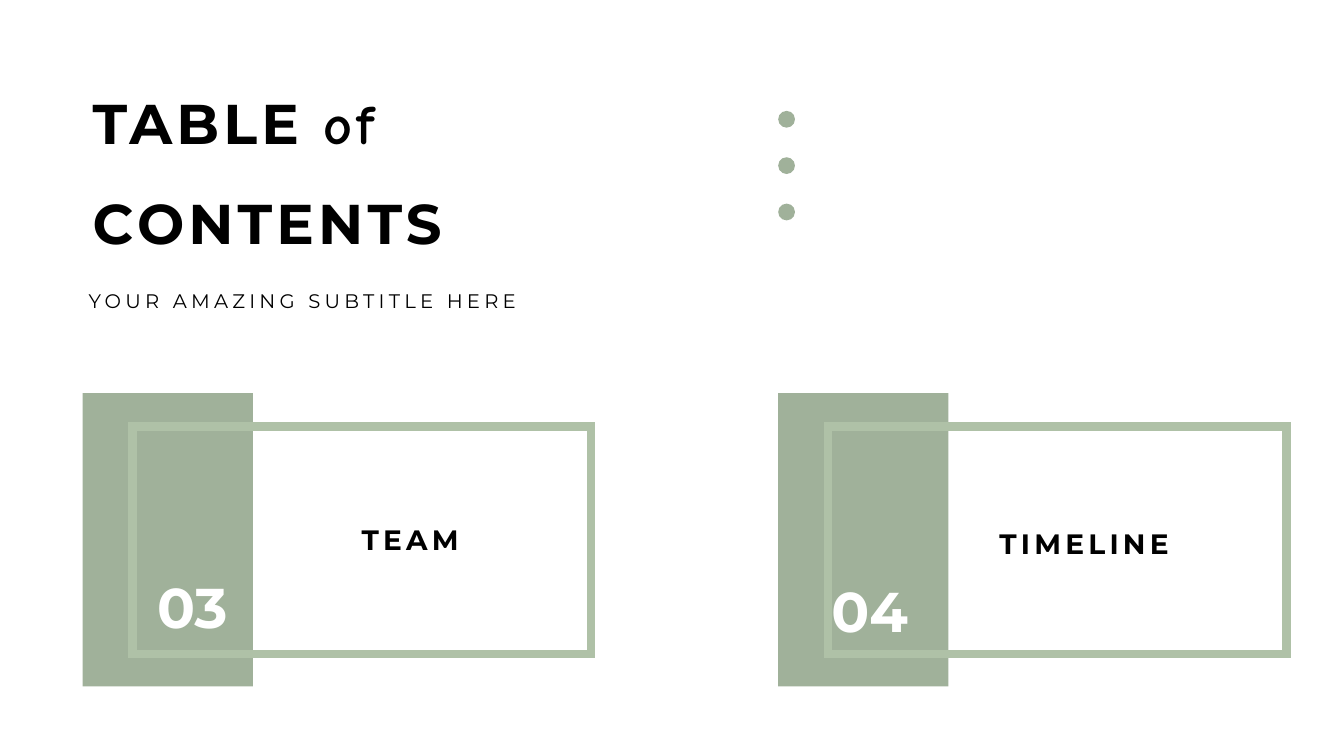
from dataclasses import dataclass

from lxml.etree import SubElement
from pptx import Presentation
from pptx.dml.color import RGBColor
from pptx.enum.shapes import MSO_SHAPE as Shape
from pptx.enum.text import MSO_ANCHOR as Anchor, MSO_AUTO_SIZE as AutoSize, PP_ALIGN as Align
from pptx.oxml.ns import qn
from pptx.util import Inches, Pt


@dataclass(frozen=True)
class Theme:
    sage: RGBColor = RGBColor(0xA0, 0xB1, 0x9A)
    border: RGBColor = RGBColor(0xAF, 0xC1, 0xA7)
    ink: RGBColor = RGBColor(0, 0, 0)
    white: RGBColor = RGBColor(255, 255, 255)
    main_font: str = "Montserrat"
    accent_font: str = "Comic Neue"
    heading: int = 40
    label: int = 20
    subtitle: int = 14
    border_width: int = 6
    tracking: int = 3


class ContentsSlide:
    """Places elements on a grid of 80 columns by 45 rows."""

    columns, rows = 80, 45

    def __init__(self, presentation, theme):
        self.theme = theme
        self.column = presentation.slide_width / self.columns
        self.row = presentation.slide_height / self.rows
        self.slide = presentation.slides.add_slide(presentation.slide_layouts[5])

    def place(self, left, top, width, height):
        return (round(left * self.column), round(top * self.row),
                round(width * self.column), round(height * self.row))

    def fill_text(self, shape, pieces, size, color, bold=True, tracking=0,
                  wrap=True, align=Align.LEFT, line_spacing=1.0):
        frame = shape.text_frame
        frame_format = {"word_wrap": wrap, "auto_size": AutoSize.NONE,
                        "vertical_anchor": Anchor.TOP}
        for name, value in frame_format.items():
            setattr(frame, name, value)
        paragraph = frame.paragraphs[0]
        paragraph.alignment, paragraph.line_spacing = align, line_spacing
        for text, font_name in pieces:
            run = paragraph.add_run()
            run.text = text
            font_format = {"name": font_name, "size": Pt(size), "bold": bold}
            for name, value in font_format.items():
                setattr(run.font, name, value)
            run.font.color.rgb = color
            if tracking:
                run._r.get_or_add_rPr().set("spc", str(tracking * 100))

    def title(self, box, pieces, **style):
        title = self.slide.shapes.title
        for name, value in zip(("left", "top", "width", "height"), self.place(*box)):
            setattr(title, name, value)
        self.fill_text(title, pieces, self.theme.heading, self.theme.ink, **style)

    def text(self, box, text, size, color, **style):
        text_box = self.slide.shapes.add_textbox(*self.place(*box))
        self.fill_text(text_box, [(text, self.theme.main_font)], size, color, **style)

    def solid(self, kind, box):
        shape = self.slide.shapes.add_shape(kind, *self.place(*box))
        shape.shadow.inherit = False
        shape.fill.solid()
        shape.fill.fore_color.rgb = self.theme.sage
        shape.line.fill.background()

    def outline(self, box):
        shape = self.slide.shapes.add_shape(Shape.RECTANGLE, *self.place(*box))
        shape.shadow.inherit = False
        shape.fill.background()
        shape.line.color.rgb = self.theme.border
        shape.line.width = Pt(self.theme.border_width)
        # Square corners
        SubElement(shape.line._get_or_add_ln(), qn("a:miter"), lim="800000")

    def card(self, left, number, number_left, label, label_left, label_width, drop):
        theme = self.theme
        self.solid(Shape.RECTANGLE, (left, 23.4, 10.14, 17.46))
        self.text((left + number_left, 33.78 + drop, 7.2, 4.62), number,
                  theme.heading, theme.white)
        self.outline((left + 2.97, 25.38, 27.3, 13.56))
        self.text((left + label_left, 30.78 + drop, label_width, 2.64), label,
                  theme.label, theme.ink, tracking=theme.tracking,
                  wrap=False, align=Align.CENTER)


def main():
    presentation = Presentation()
    presentation.slide_width, presentation.slide_height = Inches(13.33), Inches(7.5)
    theme = Theme()
    contents = ContentsSlide(presentation, theme)

    # Heading
    contents.title((4.92, 2.94, 30, 12.06),
                   [("TABLE ", theme.main_font), ("of ", theme.accent_font),
                    ("CONTENTS", theme.main_font)],
                   tracking=theme.tracking, line_spacing=1.5)
    contents.text((4.68, 16.2, 28.44, 3.72), "YOUR AMAZING SUBTITLE HERE",
                  theme.subtitle, theme.ink, bold=False,
                  tracking=theme.tracking, line_spacing=1.5)

    # Section cards
    contents.card(4.92, "03", 3.84, "TEAM", 15.84, 7.32, drop=0)
    contents.card(46.32, "04", 2.58, "TIMELINE", 12.42, 11.58, drop=0.27)

    # Column of dots
    for index in range(3):
        contents.solid(Shape.OVAL, (46.32, 6.6 + index * 2.76, 1, 1))

    presentation.save("out.pptx")


if __name__ == "__main__":
    main()
